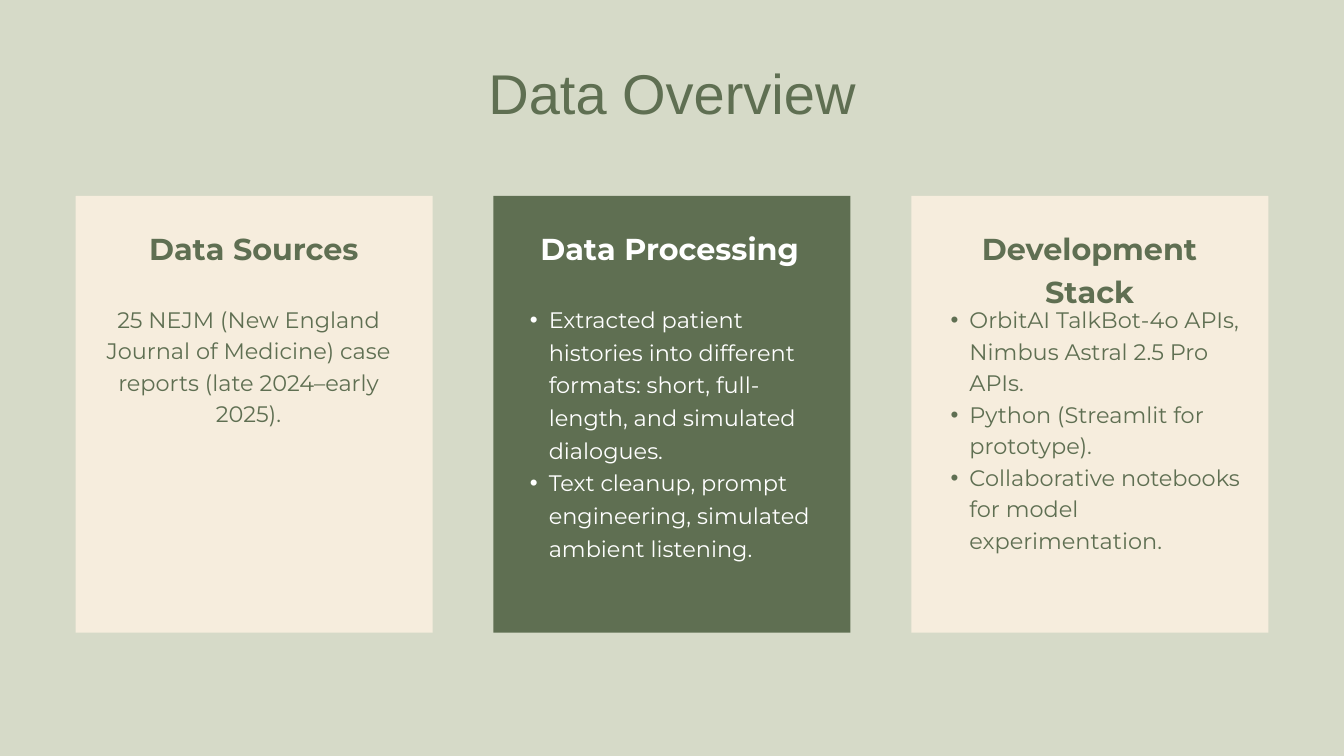
from dataclasses import dataclass

from lxml.etree import SubElement
from pptx import Presentation
from pptx.dml.color import RGBColor
from pptx.enum.shapes import MSO_SHAPE
from pptx.enum.text import PP_ALIGN
from pptx.oxml.ns import qn
from pptx.util import Pt

EMU_PER_PX = 9525


@dataclass(frozen=True)
class Theme:
    background: str = "D6DAC8"
    green: str = "5F6F52"
    cream: str = "F6EDDD"
    white: str = "FFFFFF"
    title_font: str = "Arial"
    text_font: str = "Montserrat"
    title_size: float = 60
    heading_size: float = 32.4
    body_size: float = 24


THEME = Theme()

# Card grid
CARD_LEFT, CARD_TOP, CARD_WIDTH, CARD_HEIGHT = 108, 280, 510, 624
CARD_STEP = 597


@dataclass(frozen=True)
class Card:
    heading: str
    heading_left: int
    body: tuple
    body_box: tuple
    line_spacing: float
    fill: str = THEME.cream
    color: str = THEME.green
    bulleted: bool = True


CARDS = (
    Card("Data Sources", 145,
         ("25 NEJM (New England Journal of Medicine) case reports "
          "(late 2024–early 2025).",),
         (145, 431, 420, 175), 33.6, bulleted=False),
    Card("Data Processing", 739,
         ("Extracted patient histories into different formats: short, "
          "full-length, and simulated dialogues.",
          "Text cleanup, prompt engineering, simulated ambient listening."),
         (729, 429, 465, 412), 35, fill=THEME.green, color=THEME.white),
    Card("Development Stack", 1339,
         ("OrbitAI TalkBot-4o APIs, Nimbus Astral 2.5 Pro APIs.",
          "Python (Streamlit for prototype).",
          "Collaborative notebooks for model experimentation."),
         (1330, 431, 444, 403), 33.8),
)


def px(*lengths):
    return [length * EMU_PER_PX for length in lengths]


def add_bullet(paragraph):
    properties = paragraph._p.get_or_add_pPr()
    margin, indent = px(55, -27)
    properties.set("marL", str(margin))
    properties.set("indent", str(indent))
    SubElement(properties, qn("a:buFont")).set("typeface", "Arial")
    SubElement(properties, qn("a:buChar")).set("char", "•")


def add_text(slide, box, lines, size, color, line_spacing,
             font=THEME.text_font, bold=False, bulleted=False):
    frame = slide.shapes.add_textbox(*px(*box)).text_frame
    frame.word_wrap = True
    frame.margin_left = frame.margin_right = 0
    frame.margin_top = frame.margin_bottom = 0
    for index, line in enumerate(lines):
        paragraph = frame.add_paragraph() if index else frame.paragraphs[0]
        paragraph.text = line
        paragraph.line_spacing = Pt(line_spacing)
        if bulleted:
            paragraph.alignment = PP_ALIGN.LEFT
            add_bullet(paragraph)
        else:
            paragraph.alignment = PP_ALIGN.CENTER
        paragraph.font.name = font
        paragraph.font.size = Pt(size)
        paragraph.font.bold = bold
        paragraph.font.color.rgb = RGBColor.from_string(color)


def add_card(slide, left, card):
    # Panel
    panel = slide.shapes.add_shape(
        MSO_SHAPE.RECTANGLE, *px(left, CARD_TOP, CARD_WIDTH, CARD_HEIGHT))
    panel.shadow.inherit = False
    panel.fill.solid()
    panel.fill.fore_color.rgb = RGBColor.from_string(card.fill)
    panel.line.fill.background()

    # Heading and body
    add_text(slide, (card.heading_left, 321, 435, 59), [card.heading],
             THEME.heading_size, card.color, 45.3, bold=True)
    add_text(slide, card.body_box, card.body, THEME.body_size, card.color,
             card.line_spacing, bulleted=card.bulleted)


def main():
    presentation = Presentation()
    presentation.slide_width, presentation.slide_height = px(1920, 1080)
    slide = presentation.slides.add_slide(presentation.slide_layouts[6])
    slide.background.fill.solid()
    slide.background.fill.fore_color.rgb = RGBColor.from_string(THEME.background)

    # Title
    add_text(slide, (143, 83, 1634, 96), ["Data Overview"], THEME.title_size,
             THEME.green, 72.6, font=THEME.title_font)

    # Cards
    for column, card in enumerate(CARDS):
        add_card(slide, CARD_LEFT + column * CARD_STEP, card)

    presentation.save("out.pptx")


if __name__ == "__main__":
    main()
